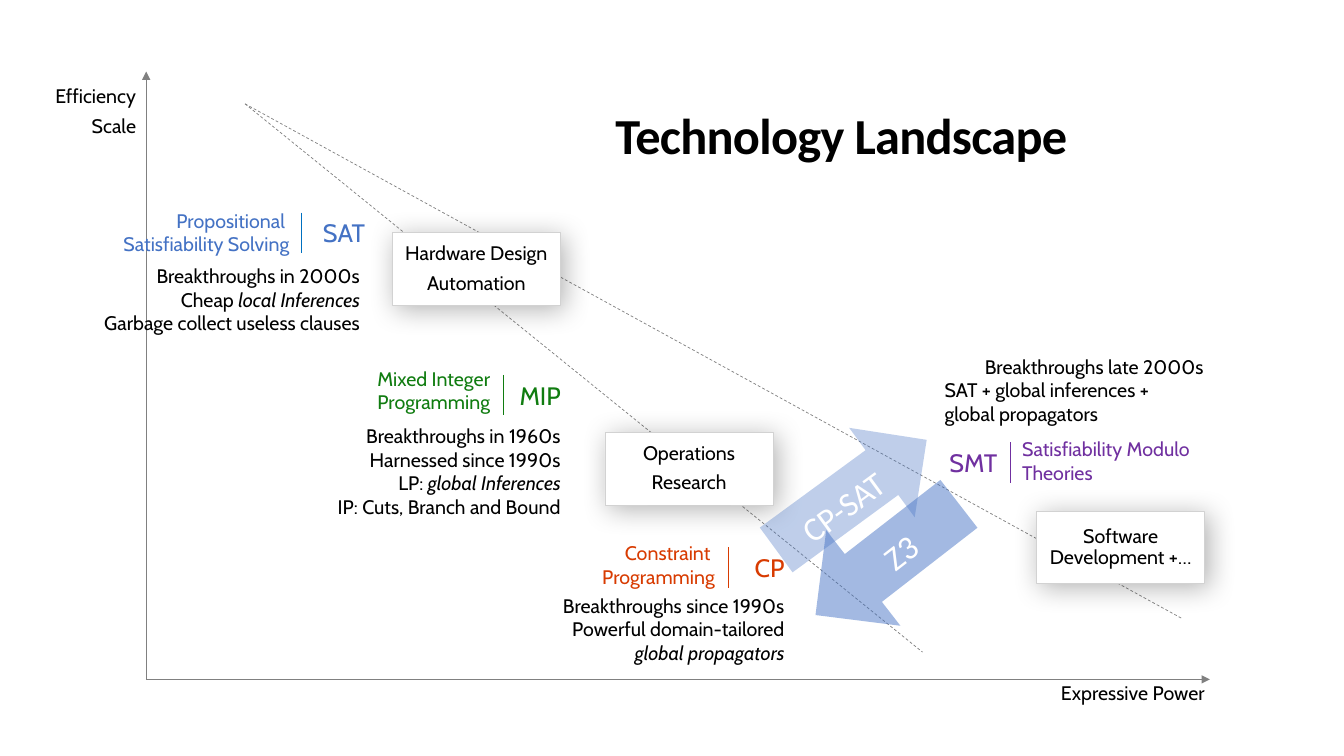
import pptx
import pptx.util
import pptx.dml.color
import pptx.enum.dml
import pptx.enum.shapes
import pptx.enum.text
import pptx.oxml
import pptx.oxml.ns

RGB = pptx.dml.color.RGBColor
BLACK = RGB(0x00, 0x00, 0x00)
WHITE = RGB(0xFF, 0xFF, 0xFF)
GRAY = RGB(0x80, 0x80, 0x80)
EDGE = RGB(0xD2, 0xD2, 0xD2)
BLUE = RGB(0x44, 0x72, 0xC4)
SKY = RGB(0x00, 0x70, 0xC0)
GREEN = RGB(0x10, 0x7C, 0x10)
RUST = RGB(0xD8, 0x3B, 0x01)
PLUM = RGB(0x70, 0x30, 0xA0)

ALIGN = pptx.enum.text.PP_ALIGN
LEFT, MID, RIGHT = ALIGN.LEFT, ALIGN.CENTER, ALIGN.RIGHT
ANCHOR = pptx.enum.text.MSO_ANCHOR
SHAPE = pptx.enum.shapes.MSO_SHAPE
STRAIGHT = pptx.enum.shapes.MSO_CONNECTOR.STRAIGHT
DASH = pptx.enum.dml.MSO_LINE.DASH

# Content: places are columns and rows of a one-inch grid.
# In text lines, "|" switches italic on and off.
TITLE = ("Technology Landscape", (5.16, 1.03, 6.37, 0.61))
ORIGIN = (1.45, 6.74)
AXES = [  # arrow end, label lines, label place, wrap
    ((1.45, 0.71), ["Efficiency", "Scale"], (0.34, 0.7, 1.21, 0.83), False),
    ((12, 6.74), ["Expressive Power"], (9.64, 6.68, 2.51, 0.54), True),
]
APEX = (2.43, 1.03)
RAYS = [(9.15, 6.47), (11.73, 6.14)]
TECHS = [
    dict(short="SAT", at=(3, 2.11, 0.72, 0.4), hue=BLUE, rule=2.99, ink=SKY,
         name=["Propositional ", "Satisfiability Solving"],
         name_at=(0.7, 2.02, 2.27, 0.57), side=RIGHT,
         notes=["Breakthroughs in 2000s", "Cheap |local Inferences",
                "Garbage collect useless clauses"],
         notes_at=(0.77, 2.57, 2.9, 0.81), indent=0),
    dict(short="MIP", at=(4.96, 3.72, 0.7, 0.4), hue=GREEN, rule=4.99, ink=GREEN,
         name=["Mixed Integer", "Programming"],
         name_at=(2.69, 3.59, 2.27, 0.57), side=RIGHT,
         notes=["Breakthroughs in 1960s", "Harnessed since 1990s",
                "LP:| global Inferences", "IP: Cuts, Branch and Bound"],
         notes_at=(3.13, 4.16, 2.53, 1.04), indent=0),
    dict(short="CP", at=(7.24, 5.43, 0.64, 0.4), hue=RUST, rule=7.23, ink=RUST,
         name=["Constraint ", "Programming"],
         name_at=(4.66, 5.32, 2.53, 0.57), side=RIGHT,
         notes=["Breakthroughs since 1990s", "Powerful domain-tailored",
                "|global propagators"],
         notes_at=(5.37, 5.84, 2.51, 0.81), indent=0),
    dict(short="SMT", at=(9.29, 4.39, 0.7, 0.4), hue=PLUM, rule=10.02, ink=PLUM,
         name=["Satisfiability Modulo Theories"],
         name_at=(10.04, 4.29, 2.27, 0.57), side=LEFT,
         notes=["Breakthroughs late 2000s", "SAT + global inferences +",
                "global propagators"],
         notes_at=(9.27, 3.47, 2.87, 0.81), indent=0.4),
]
RULE = 0.4
CARD = (1.67, 0.72)
FIELDS = [
    (["Hardware Design", "Automation"], (3.89, 2.31)),
    (["Operations", "Research"], (6, 4.29)),
    (["Software Development +…"], (10.28, 5.07)),
]
ARROWS = [  # text, preset, place, turn, opacity in percent
    ("CP-SAT", SHAPE.RIGHT_ARROW, (7.52, 4.36, 1.85, 1.1), 323.8, 34),
    ("Z3", SHAPE.LEFT_ARROW, (7.9, 4.95, 1.8, 1.2), 322.2, 49),
]
TIGHT = (0, 0)
PLAIN = (0.1, 0.05)
ROOMY = (0.2, 0.16)

inch, pt = pptx.util.Inches, pptx.util.Pt
deck = pptx.Presentation()
deck.slide_width, deck.slide_height = inch(13.33), inch(7.5)
slide = deck.slides.add_slide(deck.slide_layouts[6])


def grid(place):
    return [inch(n) for n in place]


def style(thing, form):
    for key, value in form.items():
        setattr(thing, key, value)


def child(parent, tag, **attrs):
    node = pptx.oxml.parse_xml(f'<a:{tag} {pptx.oxml.ns.nsdecls("a")}/>')
    for key, value in attrs.items():
        node.set(key, str(value))
    parent.append(node)
    return node


def write(shape, lines, side, size=14, hue=BLACK, face="Cabin", pad=PLAIN,
          wrap=True, anchor=ANCHOR.TOP, para={}, font={}):
    frame = shape.text_frame
    style(frame, dict(word_wrap=wrap, vertical_anchor=anchor,
                      margin_left=inch(pad[0]), margin_right=inch(pad[0]),
                      margin_top=inch(pad[1]), margin_bottom=inch(pad[1])))
    for i, line in enumerate(lines):
        item = frame.add_paragraph() if i else frame.paragraphs[0]
        style(item, dict(alignment=side, **para))
        for j, part in enumerate(line.split("|")):
            if part:
                run = item.add_run()
                run.text = part
                style(run.font, dict(size=pt(size), name=face, italic=j % 2 == 1, **font))
                run.font.color.rgb = hue
    return frame


def label(place, *args, **form):
    return write(slide.shapes.add_textbox(*grid(place)), *args, **form)


def line(start, end, hue, width, dash=None, head=False):
    link = slide.shapes.add_connector(STRAIGHT, *grid(start + end))
    link.line.color.rgb = hue
    style(link.line, dict(width=pt(width), dash_style=dash))
    if head:
        child(link.line._get_or_add_ln(), "tailEnd", type="triangle")
    child(link._element.spPr, "effectLst")


def block(kind, place, fill):
    shape = slide.shapes.add_shape(kind, *grid(place))
    shape.shadow.inherit = False
    shape.fill.solid()
    shape.fill.fore_color.rgb = fill
    return shape


LOOSE = dict(line_spacing=0.9, space_after=pt(6))

# Title
head = label(TITLE[1], [TITLE[0]], MID, size=36, face="Calibri", pad=TIGHT,
             font=dict(bold=True))
head.paragraphs[0].runs[0].font._element.set("spc", "-50")

# Axes and the two rays
for end, words, place, wrap in AXES:
    line(ORIGIN, end, GRAY, 0.5, head=True)
    label(place, words, RIGHT, pad=ROOMY, wrap=wrap, para=LOOSE)
for end in RAYS:
    line(APEX, end, GRAY, 0.5, dash=DASH)

# Technologies
for tech in TECHS:
    top = tech["at"][1]
    label(tech["name_at"], tech["name"], tech["side"], hue=tech["hue"])
    label(tech["at"], [tech["short"]], RIGHT, size=18, hue=tech["hue"])
    line((tech["rule"], top), (tech["rule"], top + RULE), tech["ink"], 0.75)
    notes = label(tech["notes_at"], tech["notes"], tech["side"])
    if tech["indent"]:
        props = notes.paragraphs[0]._p.get_or_add_pPr()
        props.set("indent", str(inch(tech["indent"])))

# Application fields
for words, spot in FIELDS:
    card = block(SHAPE.RECTANGLE, spot + CARD, WHITE)
    card.line.color.rgb = EDGE
    card.line.width = pt(0.5)
    glow = child(card._element.spPr.find(pptx.oxml.ns.qn("a:effectLst")), "outerShdw",
                 blurRad=pt(20), dist=pt(4), dir=45 * 60000, algn="tl", rotWithShape=0)
    child(child(glow, "srgbClr", val=BLACK), "alpha", val=30000)
    write(card, words, MID, pad=TIGHT, anchor=ANCHOR.MIDDLE, para=LOOSE)

# Solver arrows
for word, kind, place, turn, share in ARROWS:
    arrow = block(kind, place, BLUE)
    arrow.rotation = turn
    arrow.line.fill.background()
    tint = arrow._element.spPr.find(".//" + pptx.oxml.ns.qn("a:srgbClr"))
    child(tint, "alpha", val=share * 1000)
    write(arrow, [word], MID, size=24, hue=WHITE, face="Calibri", pad=ROOMY,
          para=dict(line_spacing=0.9))

deck.save("out.pptx")
